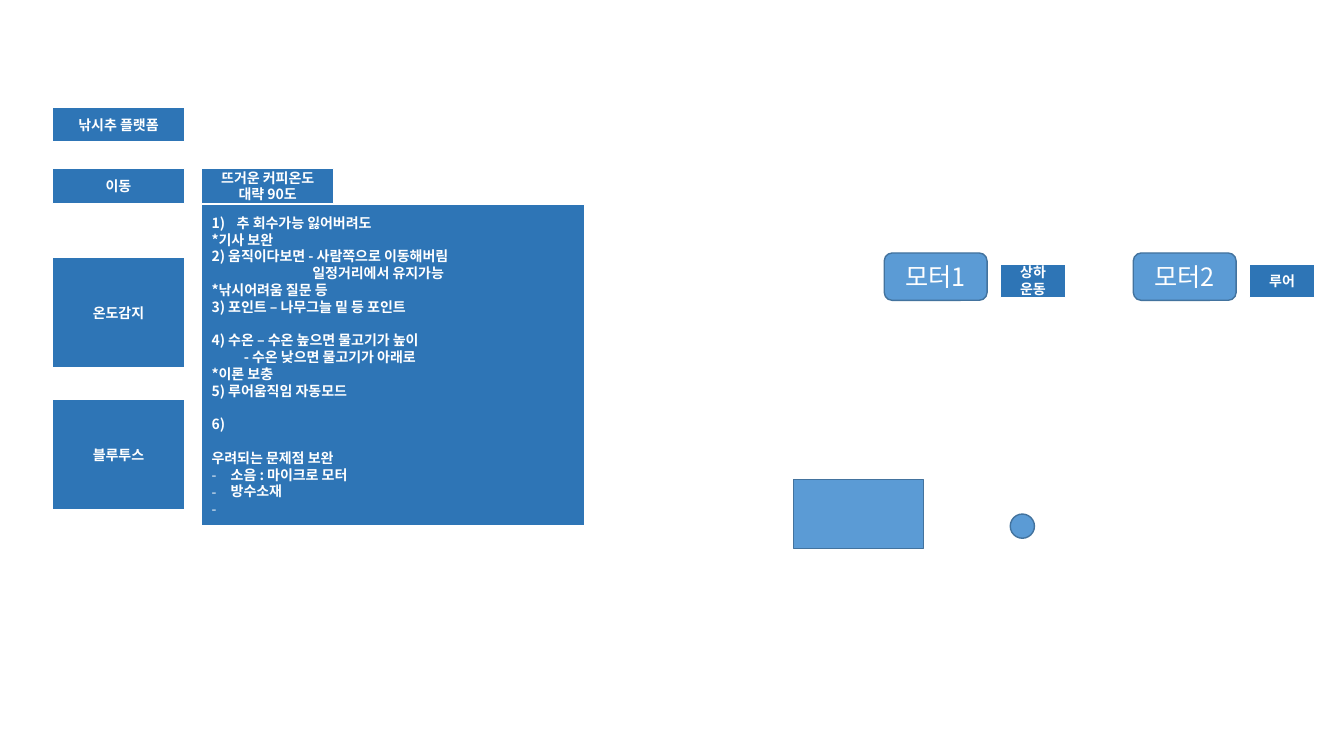
from pptx import Presentation, util as u
from pptx.dml.color import RGBColor
from pptx.enum import shapes, text
from pptx.oxml import ns
from lxml import etree

PX = 9144
FONT = "Noto Sans CJK KR"
WHITE = RGBColor(0xFF, 0xFF, 0xFF)
NAVY = RGBColor(0x2E, 0x75, 0xB6)
BLUE = RGBColor(0x5B, 0x9B, 0xD5)
EDGE = RGBColor(0x43, 0x73, 0x9E)
KIND = shapes.MSO_SHAPE
ALIGN = text.PP_ALIGN
SMALL = {"size": u.Pt(10), "bold": True, "name": FONT}
LARGE = {"size": u.Pt(18), "bold": False, "name": FONT}

deck = Presentation()
deck.slide_width = 1333 * PX
deck.slide_height = 750 * PX
slide = deck.slides.add_slide(deck.slide_layouts[6])


def draw(kind, box, fill, edge):
    shape = slide.shapes.add_shape(kind, *[n * PX for n in box])
    shape.shadow.inherit = False
    shape.fill.solid()
    shape.fill.fore_color.rgb = fill
    shape.line.color.rgb = edge
    shape.line.width = u.Pt(1)
    return shape


def write(shape, lines, style, align):
    frame = shape.text_frame
    frame.word_wrap = True
    frame.vertical_anchor = text.MSO_ANCHOR.MIDDLE
    for i, line in enumerate(lines):
        para = frame.add_paragraph() if i else frame.paragraphs[0]
        para.alignment = align
        para.line_spacing = u.Emu(int(style["size"] * 1.2))
        run = para.add_run()
        run.text = line
        for key, value in style.items():
            setattr(run.font, key, value)
        run.font.color.rgb = WHITE
        props = run._r.get_or_add_rPr()
        etree.SubElement(props, ns.qn("a:ea"), typeface=FONT)
    return frame.paragraphs


labels = [
    ((52, 106, 131, 35), ["낚시추 플랫폼"]),
    ((52, 167, 131, 35), ["이동"]),
    ((200, 167, 131, 35), ["뜨거운 커피온도", "대략 90도"]),
    ((52, 255, 131, 110), ["온도감지"]),
    ((52, 396, 131, 110), ["블루투스"]),
]
for box, lines in labels:
    write(draw(KIND.RECTANGLE, box, NAVY, WHITE), lines, SMALL, ALIGN.CENTER)

notes = [
    "추 회수가능 잃어버려도",
    "*기사 보완",
    "2) 움직이다보면 - 사람쪽으로 이동해버림",
    "일정거리에서 유지가능",
    "*낚시어려움 질문 등",
    "3) 포인트 – 나무그늘 밑 등 포인트",
    "4) 수온 – 수온 높으면 물고기가 높이",
    "- 수온 낮으면 물고기가 아래로",
    "*이론 보충",
    "5) 루어움직임 자동모드",
    "6)",
    "우려되는 문제점 보완",
    "소음 : 마이크로 모터",
    "방수소재",
    " ",
]
panel = draw(KIND.RECTANGLE, (200, 203, 380, 319), NAVY, WHITE)
paras = write(panel, notes, SMALL, ALIGN.LEFT)
for i in (6, 10, 11):
    paras[i].space_before = u.Pt(12)

number = ("buAutoNum", {"type": "arabicParenR"})
dash = ("buChar", {"char": "-"})
marks = [(0, 25, number), (12, 19, dash), (13, 19, dash), (14, 19, dash)]
for i, indent, (tag, attrs) in marks:
    props = paras[i]._p.get_or_add_pPr()
    props.set("marL", str(indent * PX))
    props.set("indent", str(-indent * PX))
    etree.SubElement(props, ns.qn("a:buFont"), typeface=FONT)
    etree.SubElement(props, ns.qn("a:" + tag), attrs)
for i, indent in ((3, 100), (7, 32)):
    paras[i]._p.get_or_add_pPr().set("marL", str(indent * PX))

for i, role in enumerate(["상하 운동", "루어"]):
    left = 877 + 247 * i
    motor = draw(KIND.ROUNDED_RECTANGLE, (left, 251, 102, 47), BLUE, EDGE)
    write(motor, [f"모터{i + 1}"], LARGE, ALIGN.CENTER)
    tag = draw(KIND.RECTANGLE, (left + 115, 262, 65, 33), NAVY, WHITE)
    write(tag, [role], SMALL, ALIGN.CENTER)

draw(KIND.RECTANGLE, (787, 476, 129, 68), BLUE, EDGE)
draw(KIND.OVAL, (1002, 510, 24, 24), BLUE, EDGE)

deck.save("out.pptx")
